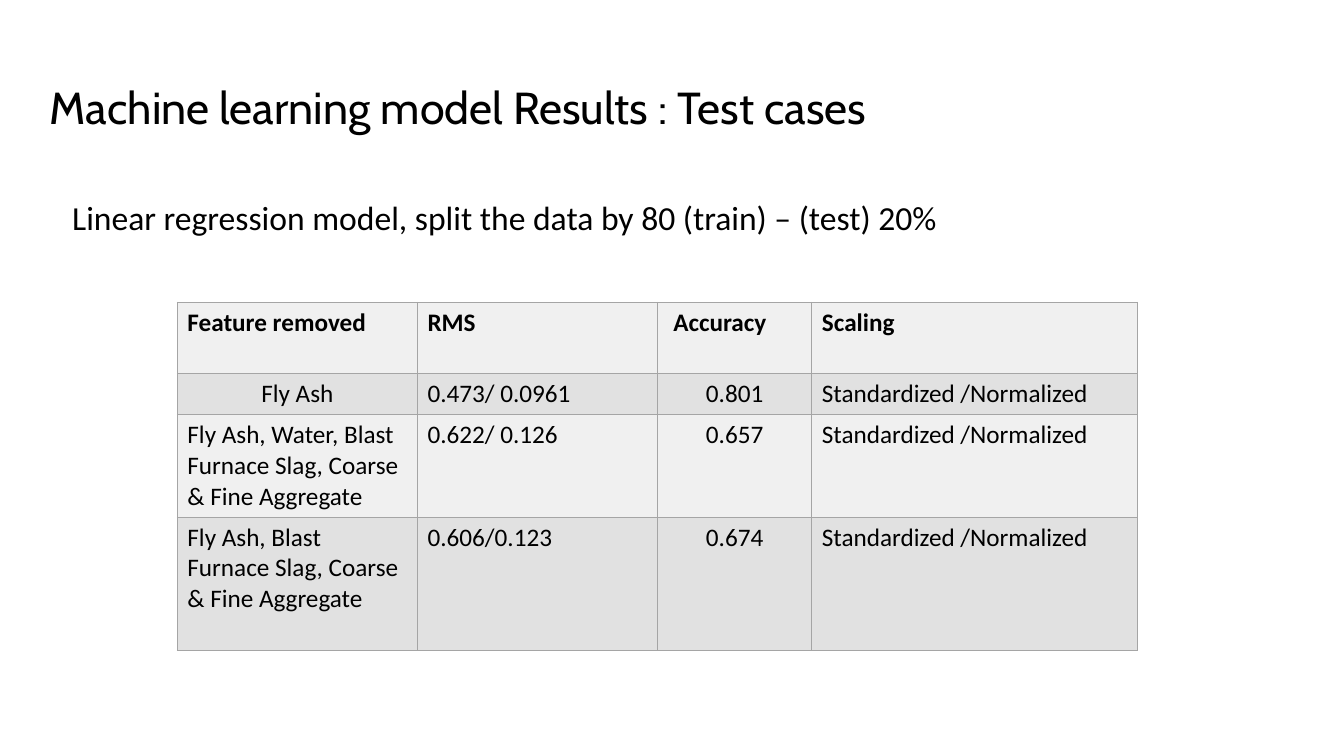
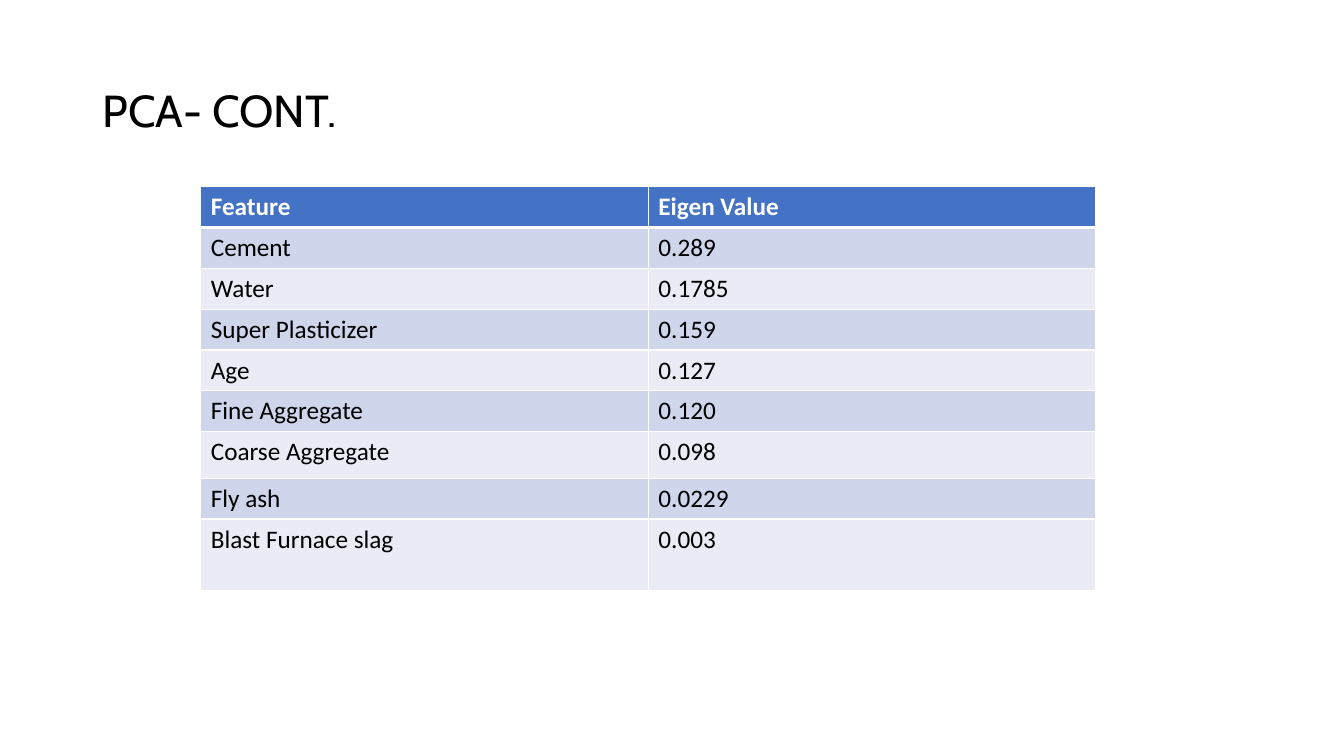
import lxml.etree
import pptx
import pptx.dml.color
import pptx.enum.text
import pptx.oxml.ns
import pptx.util

Cm = pptx.util.Cm
ALIGN = pptx.enum.text.PP_ALIGN
ANCHOR = pptx.enum.text.MSO_ANCHOR
AUTO_SIZE = pptx.enum.text.MSO_AUTO_SIZE

BLACK = "000000"
WHITE = "FFFFFF"
TITLE_FONT = {"name": "Cabin", "size": pptx.util.Pt(32), "bold": False}
NOTE_FONT = {"name": "Calibri", "size": pptx.util.Pt(24), "bold": False}
CELL_FONT = {"name": "Calibri", "size": pptx.util.Pt(18), "bold": False}
HEAD_FONT = {**CELL_FONT, "bold": True}

GREY_STYLE = {
    "header": "F0F0F0", "header_text": BLACK, "bands": ("E1E1E1", "F0F0F0"),
    "border": "A5A5A5", "header_rule": 1,
}
BLUE_STYLE = {
    "header": "4472C4", "header_text": WHITE, "bands": ("CFD5EA", "E9EBF5"),
    "border": WHITE, "header_rule": 3,
}

TEST_ROWS = [
    ("Feature removed", "RMS", " Accuracy", "Scaling"),
    ("Fly Ash", "0.473/ 0.0961", "0.801", "Standardized /Normalized"),
    ("Fly Ash, Water, Blast Furnace Slag, Coarse & Fine Aggregate",
     "0.622/ 0.126", "0.657", "Standardized /Normalized"),
    ("Fly Ash, Blast Furnace Slag, Coarse & Fine Aggregate",
     "0.606/0.123", "0.674", "Standardized /Normalized"),
]
EIGEN_ROWS = [
    ("Feature", "Eigen Value"),
    ("Cement", "0.289"),
    ("Water", "0.1785"),
    ("Super Plasticizer", "0.159"),
    ("Age", "0.127"),
    ("Fine Aggregate", "0.120"),
    ("Coarse Aggregate", "0.098"),
    ("Fly ash", "0.0229"),
    ("Blast Furnace slag", "0.003"),
]


def color(value):
    """Turn a hex string into a colour."""
    return pptx.dml.color.RGBColor.from_string(value)


def write_text(frame, text, font, text_color=BLACK, align=ALIGN.LEFT):
    """Write one formatted paragraph into a text frame."""
    para = frame.paragraphs[0]
    para.alignment = align
    span = para.add_run()
    span.text = text
    for name, value in font.items():
        setattr(span.font, name, value)
    span.font.color.rgb = color(text_color)
    return para


def place(shape, box):
    """Move a shape to a box of left, top, width and height in centimetres."""
    for name, value in zip(("left", "top", "width", "height"), box):
        setattr(shape, name, Cm(value))


def add_page(deck, title, box):
    """Add a title-only slide with its title in the given box."""
    page = deck.slides.add_slide(deck.slide_layouts[5])
    shape = page.shapes.title
    place(shape, box)
    frame = shape.text_frame
    settings = {"word_wrap": True, "auto_size": AUTO_SIZE.NONE, "vertical_anchor": ANCHOR.MIDDLE}
    for name, value in settings.items():
        setattr(frame, name, value)
    write_text(frame, title, TITLE_FONT).line_spacing = 0.9
    return page


def add_note(page, text, box):
    """Add a line of wrapped text in the given box."""
    frame = page.shapes.add_textbox(*map(Cm, box)).text_frame
    frame.word_wrap = True
    write_text(frame, text, NOTE_FONT)


def set_borders(cell, border_color, widths):
    """Draw the left, right, top and bottom borders of a cell."""
    properties = cell._tc.get_or_add_tcPr()
    for index, (side, width) in enumerate(zip("LRTB", widths)):
        line = lxml.etree.Element(pptx.oxml.ns.qn("a:ln" + side), w=str(pptx.util.Pt(width)))
        fill = lxml.etree.SubElement(line, pptx.oxml.ns.qn("a:solidFill"))
        lxml.etree.SubElement(fill, pptx.oxml.ns.qn("a:srgbClr"), val=border_color)
        properties.insert(index, line)


def add_grid(page, rows, corner, widths, heights, style, centered=()):
    """Add a banded table from its corner; centered lists (row, column) pairs."""
    box = (*corner, sum(widths), sum(heights))
    table = page.shapes.add_table(len(rows), len(widths), *map(Cm, box)).table
    table.first_row = table.horz_banding = False
    for column, width in zip(table.columns, widths):
        column.width = Cm(width)
    for index, (row, height) in enumerate(zip(rows, heights)):
        table.rows[index].height = Cm(height)
        is_header = index == 0
        fill = style["header"] if is_header else style["bands"][(index - 1) % 2]
        font = HEAD_FONT if is_header else CELL_FONT
        text_color = style["header_text"] if is_header else BLACK
        top = style["header_rule"] if index == 1 else 1
        bottom = style["header_rule"] if is_header else 1
        for position, text in enumerate(row):
            cell = table.cell(index, position)
            cell.fill.solid()
            cell.fill.fore_color.rgb = color(fill)
            set_borders(cell, style["border"], (1, 1, top, bottom))
            align = ALIGN.CENTER if (index, position) in centered else ALIGN.LEFT
            write_text(cell.text_frame, text, font, text_color, align)


def add_test_results(deck):
    """Build the slide of test cases."""
    page = add_page(deck, "Machine learning model Results : Test cases", (1, 0.94, 29.2, 3.68))
    add_grid(page, TEST_ROWS, (4.47, 7.62), (6.05, 6.05, 3.89, 8.2), (1.8, 1.03, 2.58, 3.36),
             GREY_STYLE, centered={(1, 0), (1, 2), (2, 2), (3, 2)})
    add_note(page, "Linear regression model, split the data by 80 (train) – (test) 20%",
             (1.57, 4.83, 28, 1.27))


def add_eigen_values(deck):
    """Build the slide of eigen values."""
    page = add_page(deck, "PCA- CONT.", (2.33, 1.01, 29.2, 3.68))
    heights = [1.03] * 6 + [1.17, 1.03, 1.8]
    add_grid(page, EIGEN_ROWS, (5.06, 4.7), (11.28, 11.28), heights, BLUE_STYLE)


def main():
    """Build and save the deck."""
    deck = pptx.Presentation()
    deck.slide_width, deck.slide_height = Cm(33.87), Cm(19.05)
    add_test_results(deck)
    add_eigen_values(deck)
    deck.save("out.pptx")


if __name__ == "__main__":
    main()
